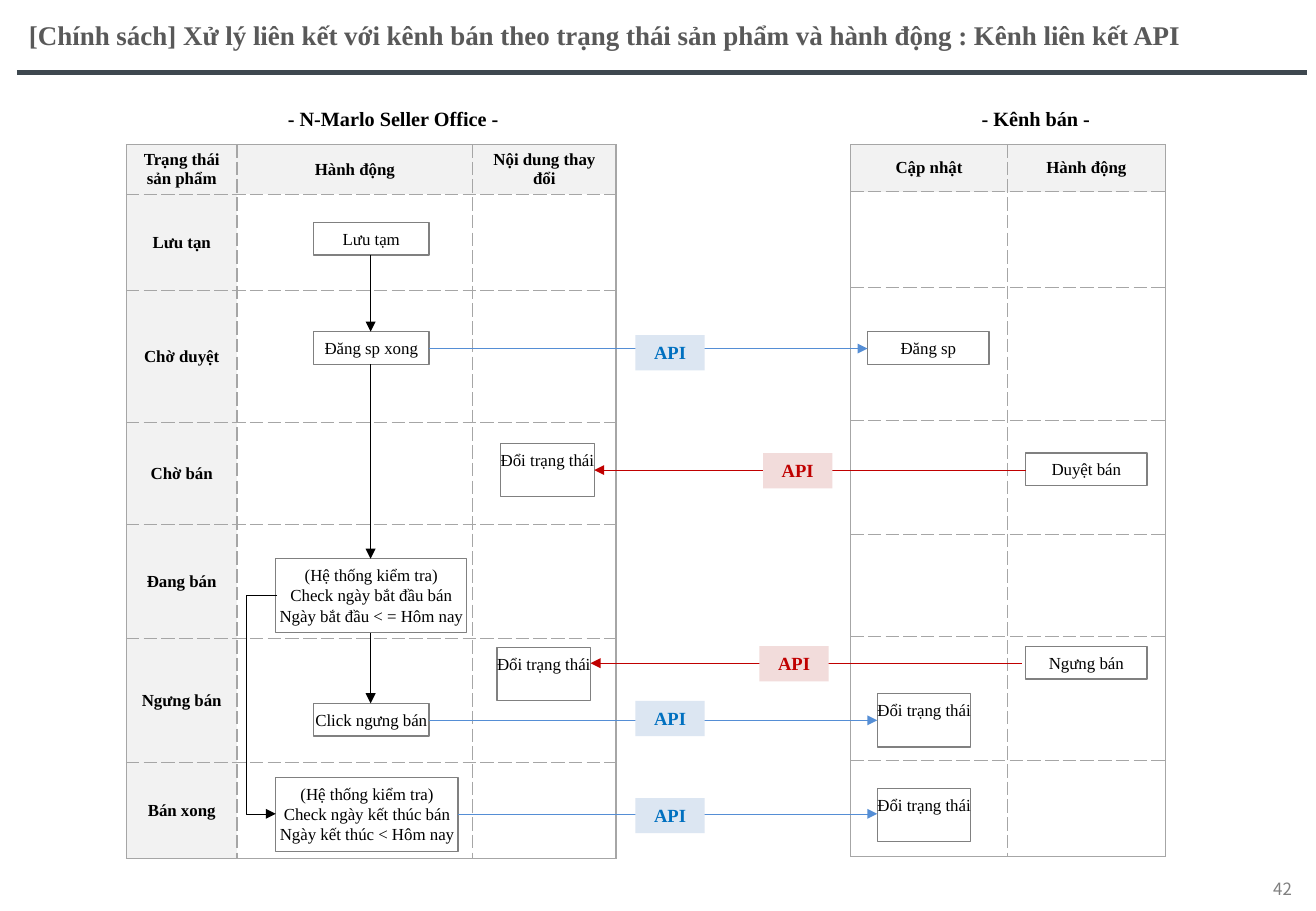
from dataclasses import dataclass
from typing import Any, NamedTuple

from lxml.etree import SubElement
from pptx import Presentation
from pptx.dml.color import RGBColor
from pptx.enum.shapes import MSO_CONNECTOR, MSO_SHAPE
from pptx.enum.text import MSO_ANCHOR, PP_ALIGN
from pptx.oxml.ns import qn
from pptx.util import Pt

EMU_PER_PX = 9144  # 100 px to the inch


@dataclass(frozen=True)
class Theme:
    font: str = "Times New Roman"
    number_font: str = "Noto Sans CJK KR"
    title_size: int = 16
    heading_size: int = 12
    badge_size: int = 11
    body_size: int = 10
    title: str = "595959"
    ink: str = "000000"
    number: str = "808080"
    rule: str = "3E484F"
    grid: str = "A6A6A6"
    header: str = "F2F2F2"
    box_line: str = "808080"
    send: str = "558ED5"
    send_text: str = "0070C0"
    send_fill: str = "DCE6F2"
    receive: str = "C00000"
    receive_fill: str = "F2DCDB"
    thin: float = 0.25
    border: float = 0.75
    thick: float = 3


THEME = Theme()


class Label(NamedTuple):
    text: str
    left: int
    top: int
    width: int
    height: int
    size: int
    color: str = THEME.ink
    bold: bool = True
    font: str = THEME.font
    align: PP_ALIGN = PP_ALIGN.LEFT
    anchor: MSO_ANCHOR = MSO_ANCHOR.TOP


class Box(NamedTuple):
    text: str
    left: int
    top: int
    width: int = 95
    height: int = 27


class Badge(NamedTuple):
    left: int
    top: int
    color: str
    fill: str


class Arrow(NamedTuple):
    start: tuple[int, int]
    end: tuple[int, int]
    color: str = THEME.ink


class Grid(NamedTuple):
    left: int
    top: int
    columns: list[int]
    rows: list[int]
    headers: list[str]
    states: list[str]


LABELS = [
    Label("[Chính sách] Xử lý liên kết với kênh bán theo trạng thái sản phẩm và hành động : Kênh liên kết API",
          14, 0, 1069, 57, THEME.title_size, THEME.title, anchor=MSO_ANCHOR.MIDDLE),
    Label("- N-Marlo Seller Office -", 227, 83, 197, 30, THEME.heading_size),
    Label("- Kênh bán -", 798, 83, 110, 30, THEME.heading_size),
    Label("42", 820, 712, 253, 40, THEME.body_size, THEME.number, False,
          THEME.number_font, PP_ALIGN.RIGHT, MSO_ANCHOR.MIDDLE),
]
GRIDS = [
    Grid(700, 119, [129, 130], [39, 79, 109, 94, 84, 102, 79], ["Cập nhật", "Hành động"], []),
    Grid(104, 119, [91, 194, 118], [41, 79, 109, 84, 94, 102, 79],
         ["Trạng thái sản phẩm", "Hành động", "Nội dung thay đổi"],
         ["Lưu tạn", "Chờ duyệt", "Chờ bán", "Đang bán", "Ngưng bán", "Bán xong"]),
]
BOXES = [
    Box("Lưu tạm", 258, 183),
    Box("Đăng sp xong", 258, 273),
    Box("(Hệ thống kiểm tra)\nCheck ngày bắt đầu bán\nNgày bắt đầu < = Hôm nay", 227, 460, 157, 61),
    Box("Click ngưng bán", 258, 579),
    Box("(Hệ thống kiểm tra)\nCheck ngày kết thúc bán\nNgày kết thúc < Hôm nay", 227, 640, 150, 61),
    Box("Đăng sp", 714, 273, 100),
    Box("Duyệt bán", 844, 373, 100),
    Box("Ngưng bán", 844, 532, 100),
    *(Box("Đổi trạng thái", left, top, 77, 44)
      for left, top in [(412, 365), (409, 533), (722, 571), (722, 649)]),
]
ARROWS = [
    Arrow((305, 210), (305, 273)),
    Arrow((305, 300), (305, 460)),
    Arrow((305, 521), (305, 579)),
    Arrow((353, 287), (714, 287), THEME.send),
    Arrow((353, 593), (722, 593), THEME.send),
    Arrow((377, 670), (722, 670), THEME.send),
    Arrow((844, 387), (489, 387), THEME.receive),
    Arrow((841, 546), (486, 546), THEME.receive),
]
BADGES = [
    *(Badge(523, top, THEME.send_text, THEME.send_fill) for top in (276, 577, 657)),
    *(Badge(left, top, THEME.receive, THEME.receive_fill) for left, top in [(628, 373), (625, 532)]),
]
END_DATE_PATH = [(228, 490), (203, 490), (203, 670), (227, 670)]


def emu(*lengths: int) -> list[int]:
    return [length * EMU_PER_PX for length in lengths]


def write(frame: Any, text: str, size: int, color: str = THEME.ink, bold: bool = False,
          font: str = THEME.font, align: PP_ALIGN = PP_ALIGN.CENTER) -> None:
    frame.text = text
    for paragraph in frame.paragraphs:
        paragraph.alignment = align
        for name, value in {"size": Pt(size), "bold": bold, "name": font}.items():
            setattr(paragraph.font, name, value)
        paragraph.font.color.rgb = RGBColor.from_string(color)


def style_line(shape: Any, color: str, width: float, arrowhead: bool = False) -> None:
    shape.line.color.rgb = RGBColor.from_string(color)
    shape.line.width = Pt(width)
    if arrowhead:
        SubElement(shape.line._get_or_add_ln(), qn("a:tailEnd"), type="triangle")


def add_label(slide: Any, label: Label) -> None:
    frame = slide.shapes.add_textbox(*emu(*label[1:5])).text_frame
    frame.word_wrap = False
    frame.vertical_anchor = label.anchor
    write(frame, label.text, label.size, label.color, label.bold, label.font, label.align)


def add_rectangle(slide: Any, left: int, top: int, width: int, height: int) -> Any:
    shape = slide.shapes.add_shape(MSO_SHAPE.RECTANGLE, *emu(left, top, width, height))
    shape.shadow.inherit = False
    shape.fill.background()
    shape.line.fill.background()
    frame = shape.text_frame
    margins = {"margin_left": 0, "margin_right": 0, "margin_top": 5, "margin_bottom": 5}
    for name, value in margins.items():
        setattr(frame, name, value * EMU_PER_PX)
    frame.word_wrap = False
    frame.vertical_anchor = MSO_ANCHOR.TOP
    return shape


def add_box(slide: Any, box: Box) -> None:
    shape = add_rectangle(slide, *box[1:])
    style_line(shape, THEME.box_line, THEME.border)
    write(shape.text_frame, box.text, THEME.body_size)


def add_badge(slide: Any, badge: Badge) -> None:
    shape = add_rectangle(slide, badge.left, badge.top, 57, 29)
    shape.fill.solid()
    shape.fill.fore_color.rgb = RGBColor.from_string(badge.fill)
    write(shape.text_frame, "API", THEME.badge_size, badge.color, True)


def add_line(slide: Any, line: Arrow, width: float, arrowhead: bool) -> None:
    connector = slide.shapes.add_connector(MSO_CONNECTOR.STRAIGHT, *emu(*line.start, *line.end))
    style_line(connector, line.color, width, arrowhead)
    SubElement(connector._element.spPr, qn("a:effectLst"))


def add_bent_arrow(slide: Any, points: list[tuple[int, int]]) -> None:
    builder = slide.shapes.build_freeform(*points[0], scale=EMU_PER_PX)
    builder.add_line_segments(points[1:], close=False)
    shape = builder.convert_to_shape()
    shape.shadow.inherit = False
    shape.fill.background()
    style_line(shape, THEME.ink, THEME.thin, True)


def set_borders(cell: Any, outer_sides: dict[str, bool]) -> None:
    """Draw the outer sides solid and the others dashed."""
    for side, outer in outer_sides.items():
        line = SubElement(cell._tc.get_or_add_tcPr(), qn(f"a:ln{side}"), w=str(Pt(THEME.border)))
        SubElement(SubElement(line, qn("a:solidFill")), qn("a:srgbClr"), val=THEME.grid)
        SubElement(line, qn("a:prstDash"), val="solid" if outer else "dash")


def add_grid(slide: Any, grid: Grid) -> None:
    row_count, column_count = len(grid.rows), len(grid.columns)
    size = emu(grid.left, grid.top, sum(grid.columns), sum(grid.rows))
    table = slide.shapes.add_table(row_count, column_count, *size).table
    table.first_row = table.horz_banding = False
    for column, width in zip(table.columns, emu(*grid.columns)):
        column.width = width
    for row, height in zip(table.rows, emu(*grid.rows)):
        row.height = height
    texts = {(0, column): text for column, text in enumerate(grid.headers)}
    texts |= {(row, 0): text for row, text in enumerate(grid.states, 1)}
    for row in range(row_count):
        for column in range(column_count):
            cell = table.cell(row, column)
            set_borders(cell, {"L": column == 0, "R": column == column_count - 1,
                               "T": row == 0, "B": row == row_count - 1})
            if (row, column) not in texts:
                cell.fill.background()
                continue
            cell.fill.solid()
            cell.fill.fore_color.rgb = RGBColor.from_string(THEME.header)
            cell.vertical_anchor = MSO_ANCHOR.MIDDLE
            write(cell.text_frame, texts[row, column], THEME.body_size, bold=True)


def main() -> None:
    presentation = Presentation()
    presentation.slide_width, presentation.slide_height = emu(1083, 750)
    slide = presentation.slides.add_slide(presentation.slide_layouts[6])
    add_line(slide, Arrow((14, 60), (1076, 60), THEME.rule), THEME.thick, False)
    for grid in GRIDS:
        add_grid(slide, grid)
    for label in LABELS:
        add_label(slide, label)
    for box in BOXES:
        add_box(slide, box)
    for arrow in ARROWS:
        add_line(slide, arrow, THEME.thin, True)
    add_bent_arrow(slide, END_DATE_PATH)
    for badge in BADGES:
        add_badge(slide, badge)
    presentation.save("out.pptx")


if __name__ == "__main__":
    main()
